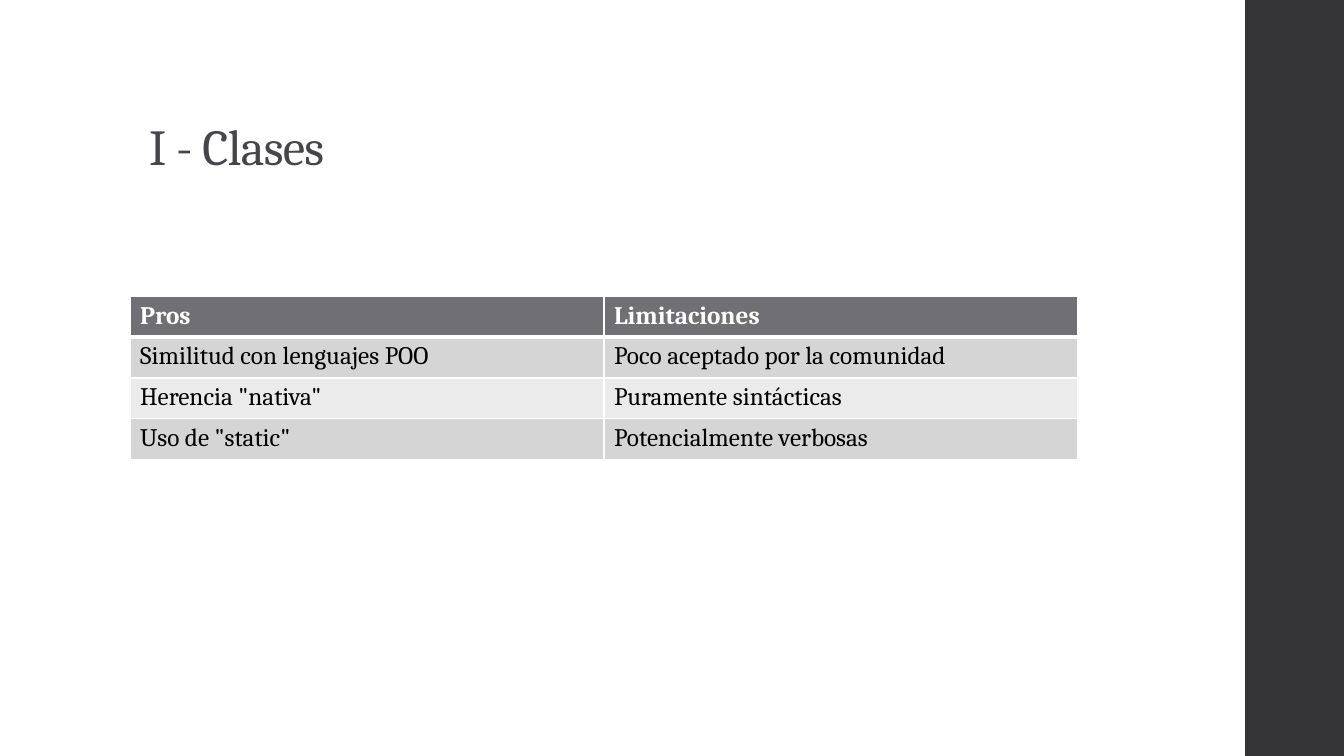
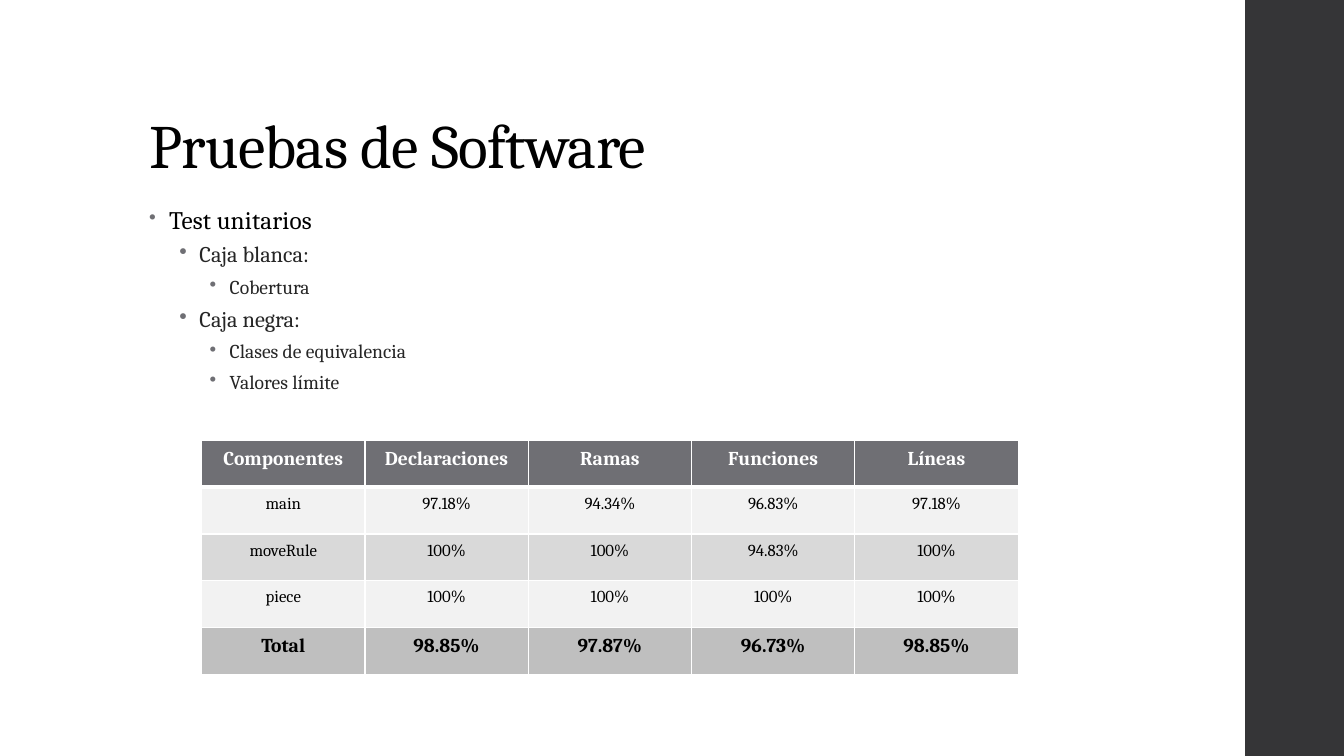
"""Build two slides about classes and software testing, each with a table."""
from lxml import etree
from pptx import Presentation
from pptx import util as u
from pptx.dml.color import RGBColor
from pptx.enum import shapes, text
from pptx.oxml import ns

COLORS = {
    "band": "353537", "title": "46464A", "black": "000000", "white": "FFFFFF",
    "detail": "262626", "accent": "6F6F74", "dark_row": "D5D5D6", "light_row": "EBEBEB",
    "pale": "F2F2F2", "gray": "D9D9D9", "total": "BFBFBF",
}
FONT = "Cambria"
SLIDE_SIZE = (13.33, 7.5)
BAND_BOX = (12.35, 0, 0.98, 7.5)
BODY_BOX = (1.38, 2, 9.4, 2.2)

BULLETS = [
    (0, "Test unitarios"),
    (1, "Caja blanca:"),
    (2, "Cobertura"),
    (1, "Caja negra:"),
    (2, "Clases de equivalencia"),
    (2, "Valores límite"),
]
LEVELS = [
    {"size": 18, "color": "black", "before": 14, "after": 2, "spacing": 0.1},
    {"size": 16, "color": "detail", "before": 3, "after": 3},
    {"size": 14, "color": "detail", "before": 3, "after": 3},
]
HEADER = {"color": "white", "bold": True}
CLASSES = {
    "box": (1.29, 2.94, 9.4, 1.62),
    "rows": [
        ("Pros", "Limitaciones"),
        ("Similitud con lenguajes POO", "Poco aceptado por la comunidad"),
        ('Herencia "nativa"', "Puramente sintácticas"),
        ('Uso de "static"', "Potencialmente verbosas"),
    ],
    "fills": ["accent", "dark_row", "light_row", "dark_row"],
    "formats": [{"size": 18, **HEADER}] + [{"size": 18}] * 3,
    "insets": (0.1, 0.05),
}
COVERAGE = {
    "box": (2, 4.37, 8.1, 2.32),
    "rows": [
        ("Componentes", "Declaraciones", "Ramas", "Funciones", "Líneas"),
        ("main", "97.18%", "94.34%", "96.83%", "97.18%"),
        ("moveRule", "100%", "100%", "94.83%", "100%"),
        ("piece", "100%", "100%", "100%", "100%"),
        ("Total", "98.85%", "97.87%", "96.73%", "98.85%"),
    ],
    "fills": ["accent", "pale", "gray", "pale", "total"],
    "formats": [{"size": 14, **HEADER}] + [{"size": 12}] * 3 + [{"size": 14, "bold": True}],
    "insets": (0.07, 0.07),
    "align": text.PP_ALIGN.CENTER,
}


def rgb(name):
    return RGBColor.from_string(COLORS[name])


def inches(values):
    return [u.Inches(value) for value in values]


def write(paragraph, content, size, color="black", bold=False, align=text.PP_ALIGN.LEFT,
          line=1.0, before=0, after=0, spacing=0):
    paragraph.alignment = align
    paragraph.line_spacing = line
    paragraph.space_before, paragraph.space_after = u.Pt(before), u.Pt(after)
    run = paragraph.add_run()
    run.text = content
    run.font.name, run.font.size, run.font.bold = FONT, u.Pt(size), bold
    run.font.color.rgb = rgb(color)
    if spacing:
        run.font._element.set("spc", str(round(spacing * 100)))


def add_bullet(paragraph, level):
    properties = paragraph._p.get_or_add_pPr()
    properties.set("marL", str(u.Inches(0.2 + 0.3 * level)))
    properties.set("indent", str(u.Inches(-0.2)))
    color = etree.SubElement(properties, ns.qn("a:buClr"))
    etree.SubElement(color, ns.qn("a:srgbClr"), val=COLORS["accent"])
    if level == 0:
        etree.SubElement(properties, ns.qn("a:buSzPct"), val="80000")
    etree.SubElement(properties, ns.qn("a:buChar"), char="•")


def add_borders(cell, top, bottom):
    properties = cell._tc.get_or_add_tcPr()
    for index, (side, width) in enumerate(zip("LRTB", (1, 1, top, bottom))):
        border = etree.Element(ns.qn(f"a:ln{side}"), w=str(u.Pt(width)))
        fill = etree.SubElement(border, ns.qn("a:solidFill"))
        etree.SubElement(fill, ns.qn("a:srgbClr"), val=COLORS["white"])
        properties.insert(index, border)


def add_slide(presentation, title, size, color, height):
    slide = presentation.slides.add_slide(presentation.slide_layouts[5])
    band = slide.shapes.add_shape(shapes.MSO_SHAPE.RECTANGLE, *inches(BAND_BOX))
    band.shadow.inherit = False
    band.fill.solid()
    band.fill.fore_color.rgb = rgb("band")
    band.line.fill.background()
    shape = slide.shapes.title
    shape.left, shape.top, shape.width, shape.height = inches((1.38, 0.4, 10.6, height))
    frame = shape.text_frame
    frame.word_wrap = True
    frame.auto_size = text.MSO_AUTO_SIZE.NONE
    frame.vertical_anchor = text.MSO_ANCHOR.BOTTOM
    write(frame.paragraphs[0], title, size, color=color, line=0.9, spacing=-0.5)
    return slide


def add_bullets(slide):
    frame = slide.shapes.add_textbox(*inches(BODY_BOX)).text_frame
    frame.word_wrap = True
    for index, (level, content) in enumerate(BULLETS):
        paragraph = frame.add_paragraph() if index else frame.paragraphs[0]
        paragraph.level = level
        write(paragraph, content, line=0.95, **LEVELS[level])
        add_bullet(paragraph, level)


def add_table(slide, data):
    rows = data["rows"]
    left, top, width, height = data["box"]
    table = slide.shapes.add_table(len(rows), len(rows[0]),
                                   *inches((left, top, width, height))).table
    for column in table.columns:
        column.width = u.Inches(width / len(rows[0]))
    for index, row in enumerate(rows):
        table.rows[index].height = u.Inches(height / len(rows))
        for position, content in enumerate(row):
            cell = table.cell(index, position)
            side, edge = inches(data["insets"])
            cell.margin_left = cell.margin_right = side
            cell.margin_top = cell.margin_bottom = edge
            cell.fill.solid()
            cell.fill.fore_color.rgb = rgb(data["fills"][index])
            add_borders(cell, 3 if index == 1 else 1, 3 if index == 0 else 1)
            write(cell.text_frame.paragraphs[0], content, **data["formats"][index],
                  align=data.get("align", text.PP_ALIGN.LEFT))


def main():
    presentation = Presentation()
    presentation.slide_width, presentation.slide_height = inches(SLIDE_SIZE)
    classes = add_slide(presentation, "I - Clases", 36, "title", 1.4)
    add_table(classes, CLASSES)
    testing = add_slide(presentation, "Pruebas de Software", 44, "black", 1.45)
    add_bullets(testing)
    add_table(testing, COVERAGE)
    presentation.save("out.pptx")


if __name__ == "__main__":
    main()
